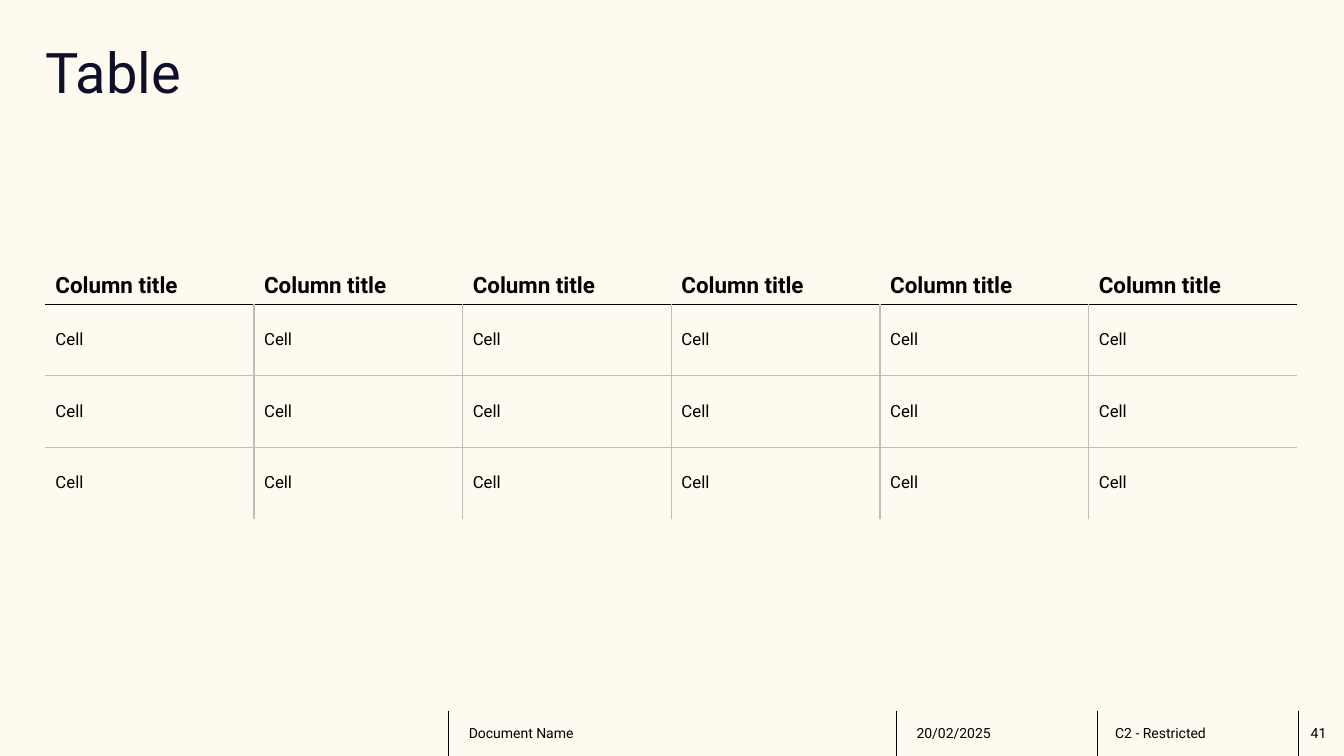
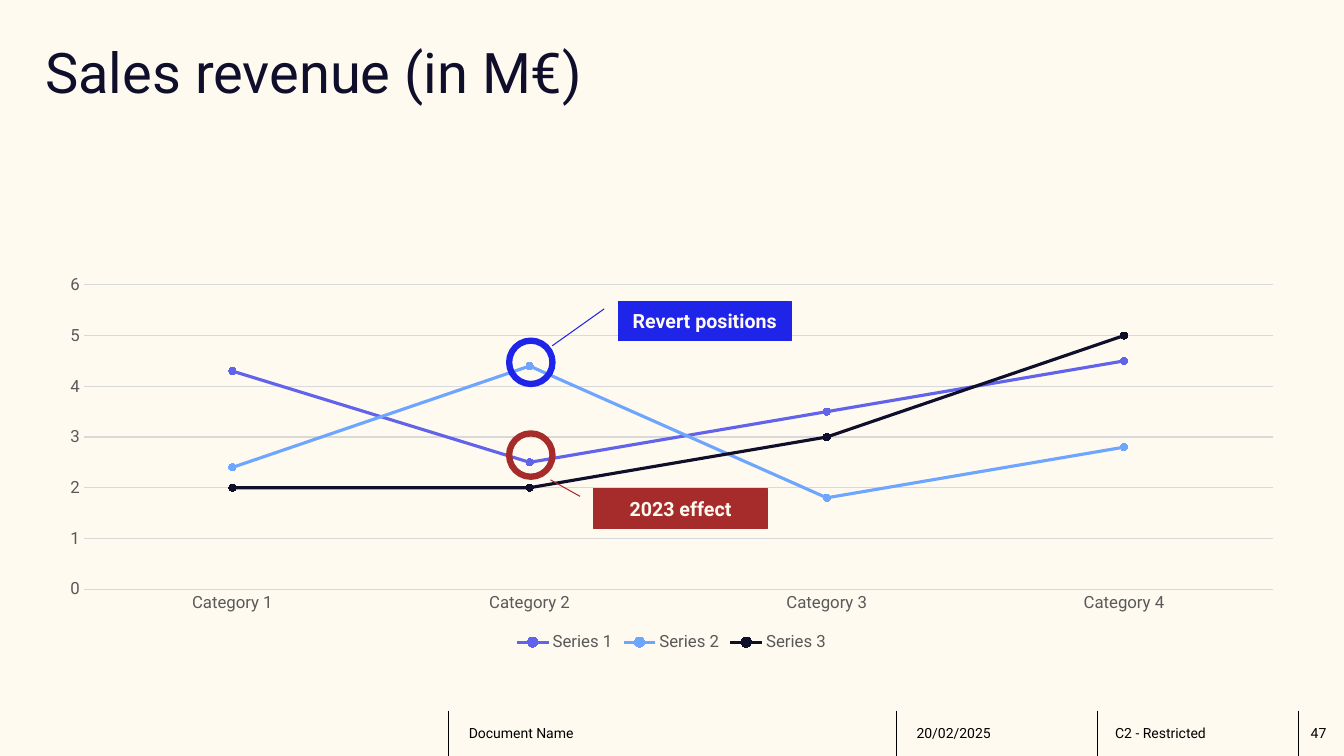
"""Build a table slide and a sales revenue chart slide with a shared title style and footer."""
from dataclasses import dataclass

from lxml.etree import SubElement
from pptx import Presentation
from pptx.chart.data import CategoryChartData
from pptx.dml.color import RGBColor
from pptx.enum.chart import XL_CHART_TYPE, XL_LEGEND_POSITION, XL_MARKER_STYLE, XL_TICK_MARK
from pptx.enum.shapes import MSO_CONNECTOR, MSO_SHAPE
from pptx.enum.text import MSO_ANCHOR, PP_ALIGN
from pptx.oxml.ns import qn
from pptx.util import Inches, Pt


@dataclass(frozen=True)
class Theme:
    font: str = "Roboto"
    cream: str = "FFFAF0"
    navy: str = "0F0E2B"
    black: str = "000000"
    blue: str = "1F24E9"
    violet: str = "6164EB"
    sky: str = "6DA5FF"
    red: str = "A62B2B"
    cell_line: str = "BFBFBF"
    grid: str = "D9D9D9"
    axis_text: str = "595959"
    title: int = 40
    heading: int = 16
    callout: int = 14
    body: int = 12
    footer: int = 10


T = Theme()
LEFT, CONTENT_TOP, CONTENT_WIDTH = 0.45, 2.65, 12.42
FOOTER_TOP, FOOTER_HEIGHT = 7.05, 0.45


def style_font(font, size, color, bold=False):
    font.name, font.size, font.bold = T.font, Pt(size), bold
    font.color.rgb = RGBColor.from_string(color)


def add_text(slide, text, box, size, color, inset=0, anchor=MSO_ANCHOR.MIDDLE):
    tf = slide.shapes.add_textbox(*map(Inches, box)).text_frame
    tf.word_wrap = True
    tf.vertical_anchor = anchor
    tf.margin_left = Inches(inset)
    tf.margin_right = tf.margin_top = tf.margin_bottom = 0
    tf.text = text
    p = tf.paragraphs[0]
    style_font(p.runs[0].font, size, color)
    return p


prs = Presentation()
prs.slide_width, prs.slide_height = Inches(13.33), Inches(7.5)
fill = prs.slide_master.background.fill
fill.solid()
fill.fore_color.rgb = RGBColor.from_string(T.cream)

slides = []
for title, number in (("Table", "41"), ("Sales revenue (in M€)", "47")):
    s = prs.slides.add_slide(prs.slide_layouts[6])
    slides.append(s)
    p = add_text(s, title, (LEFT, 0.45, CONTENT_WIDTH, 1.65), T.title, T.navy, anchor=MSO_ANCHOR.TOP)
    p.line_spacing = 0.9
    for text, x, width, inset in (
        ("Document Name", 4.45, 4.43, 0.2),
        ("20/02/2025", 8.89, 1.99, 0.2),
        ("C2 - Restricted", 10.89, 1.99, 0.17),
        (number, 12.88, 0.45, 0.12),
    ):
        add_text(s, text, (x, FOOTER_TOP, width, FOOTER_HEIGHT), T.footer, T.black, inset)
        line = s.shapes.add_connector(
            MSO_CONNECTOR.STRAIGHT, Inches(x), Inches(FOOTER_TOP),
            Inches(x), Inches(FOOTER_TOP + FOOTER_HEIGHT))
        line.line.color.rgb = RGBColor.from_string(T.black)
        line.line.width = Pt(0.75)
        SubElement(line._element.spPr, qn("a:effectLst"))

table_slide, chart_slide = slides

rows, cols = 4, 6
table = table_slide.shapes.add_table(
    rows, cols, Inches(LEFT), Inches(CONTENT_TOP), Inches(CONTENT_WIDTH), Inches(2.5)).table
table.first_row = table.horz_banding = False
style_id = table._tbl.tblPr.find(qn("a:tableStyleId"))
style_id.text = "{2D5ABB26-0587-4C30-8999-92F81FD0307C}"
for column in table.columns:
    column.width = Inches(CONTENT_WIDTH / cols)
for i, row in enumerate(table.rows):
    header = i == 0
    row.height = Inches(0.33 if header else 0.71)
    for j, cell in enumerate(row.cells):
        cell.text = "Column title" if header else "Cell"
        cell.vertical_anchor = MSO_ANCHOR.MIDDLE
        style_font(cell.text_frame.paragraphs[0].runs[0].font,
                   T.heading if header else T.body, T.black, header)
        borders = {
            "a:lnL": T.cell_line if not header and j > 0 else None,
            "a:lnR": T.cell_line if not header and j < cols - 1 else None,
            "a:lnT": None if header else T.black if i == 1 else T.cell_line,
            "a:lnB": T.black if header else T.cell_line if i < rows - 1 else None,
        }
        tcPr = cell._tc.get_or_add_tcPr()
        for tag, color in borders.items():
            if color:
                ln = SubElement(tcPr, qn(tag), w=str(Pt(1)))
                SubElement(SubElement(ln, qn("a:solidFill")), qn("a:srgbClr"), val=color)
        cell.fill.background()

data = CategoryChartData()
data.categories = [f"Category {n}" for n in range(1, 5)]
data.add_series("Series 1", (4.3, 2.5, 3.5, 4.5))
data.add_series("Series 2", (2.4, 4.4, 1.8, 2.8))
data.add_series("Series 3", (2, 2, 3, 5))
chart = chart_slide.shapes.add_chart(
    XL_CHART_TYPE.LINE_MARKERS, Inches(LEFT), Inches(CONTENT_TOP),
    Inches(CONTENT_WIDTH), Inches(3.86), data).chart
style_font(chart.font, T.body, T.axis_text)
chart.has_title = False
chart.has_legend = True
chart.legend.position = XL_LEGEND_POSITION.BOTTOM
chart.legend.include_in_layout = False
style_font(chart.legend.font, T.body, T.axis_text)

category_axis, value_axis = chart.category_axis, chart.value_axis
for axis in (category_axis, value_axis):
    axis.major_tick_mark = axis.minor_tick_mark = XL_TICK_MARK.NONE
    style_font(axis.tick_labels.font, T.body, T.axis_text)
value_axis.minimum_scale, value_axis.maximum_scale, value_axis.major_unit = 0, 6, 1
value_axis.format.line.fill.background()
for line in (category_axis.format.line, value_axis.major_gridlines.format.line):
    line.color.rgb = RGBColor.from_string(T.grid)
    line.width = Pt(0.75)

chart.plots[0].vary_by_categories = False
for series, color in zip(chart.plots[0].series, (T.violet, T.sky, T.navy)):
    rgb = RGBColor.from_string(color)
    series.smooth = False
    series.format.line.color.rgb = rgb
    series.format.line.width = Pt(2.25)
    marker = series.marker
    marker.style, marker.size = XL_MARKER_STYLE.CIRCLE, 5
    marker.format.fill.solid()
    marker.format.fill.fore_color.rgb = rgb
    marker.format.line.color.rgb = rgb

for text, color, ring_top, x, y, pointer in (
    ("2023 effect", T.red, 4.3, 5.89, 4.85, (0.19, -0.08, -0.23, -0.25)),
    ("Revert positions", T.blue, 3.38, 6.13, 2.99, (0.19, -0.08, 1.13, -0.38)),
):
    rgb = RGBColor.from_string(color)
    ring = chart_slide.shapes.add_shape(
        MSO_SHAPE.OVAL, Inches(5.05), Inches(ring_top), Inches(0.43), Inches(0.43))
    ring.shadow.inherit = False
    ring.fill.background()
    ring.line.color.rgb = rgb
    ring.line.width = Pt(4.5)

    callout = chart_slide.shapes.add_shape(
        MSO_SHAPE.LINE_CALLOUT_1, Inches(x), Inches(y), Inches(1.72), Inches(0.39))
    for k, value in enumerate(pointer):
        callout.adjustments[k] = value
    callout.shadow.inherit = False
    callout.fill.solid()
    callout.fill.fore_color.rgb = rgb
    callout.line.color.rgb = rgb
    callout.line.width = Pt(0.75)
    tf = callout.text_frame
    tf.word_wrap = True
    tf.vertical_anchor = MSO_ANCHOR.MIDDLE
    tf.text = text
    p = tf.paragraphs[0]
    p.alignment = PP_ALIGN.CENTER
    style_font(p.runs[0].font, T.callout, T.cream, True)

prs.save("out.pptx")
